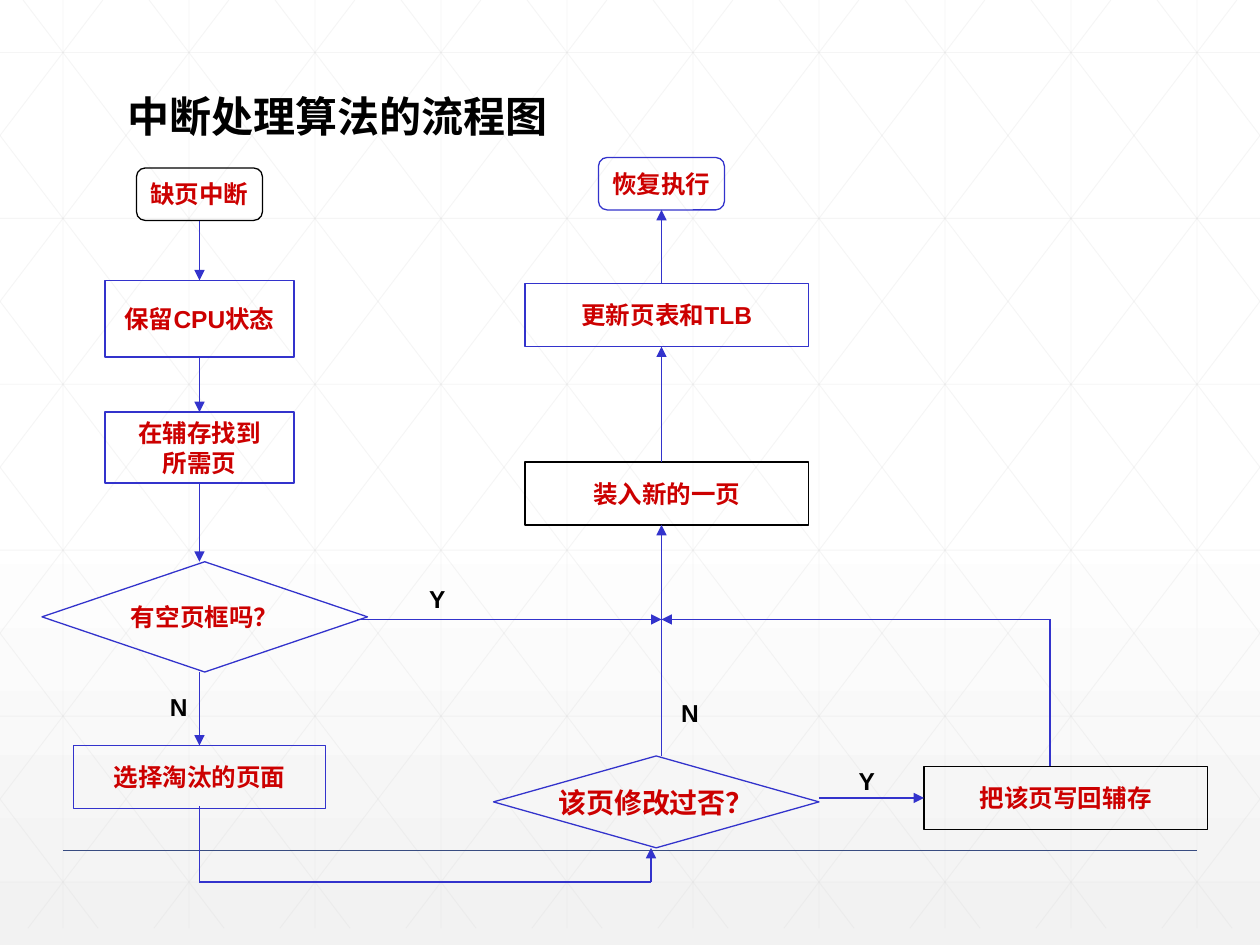
from lxml import etree
from pptx import Presentation
from pptx.dml.color import RGBColor
from pptx.enum.shapes import MSO_CONNECTOR, MSO_SHAPE
from pptx.enum.text import MSO_ANCHOR, PP_ALIGN
from pptx.oxml.ns import qn
from pptx.util import Inches, Pt

STRAIGHT = MSO_CONNECTOR.STRAIGHT
RECT, ROUND, DIAMOND = (MSO_SHAPE.RECTANGLE, MSO_SHAPE.ROUNDED_RECTANGLE,
                        MSO_SHAPE.DIAMOND)
TOP, LEFT, BOTTOM = 0, 1, 2

# The layout grid has 120 columns and 90 rows of 1/12 inch
COLS, ROWS = 120, 90
WIDTH, HEIGHT = Inches(10), Inches(7.5)
MAIN_COL, RETURN_COL = 19, 63  # columns of the two vertical flows
MERGE_ROW, LOOP_ROW = 59, 84

FONT = "Arial"
BLACK, RED, BLUE = "000000", "CC0000", "3333CC"
PALE, NAVY = "D9D9D9", "384C81"


def color(hex_string):
    return RGBColor.from_string(hex_string)


def x(col):
    return round(WIDTH * col / COLS)


def y(row):
    return round(HEIGHT * row / ROWS)


def write(frame, lines, size, ink, align=None):
    for i, line in enumerate(lines):
        paragraph = frame.paragraphs[0] if i == 0 else frame.add_paragraph()
        paragraph.alignment = align
        run = paragraph.add_run()
        run.text = line
        run.font.name, run.font.size, run.font.bold = FONT, Pt(size), True
        run.font.color.rgb = color(ink)


def add_label(slide, text, place, size=14, wrap=False):
    col, row, cols, rows = place
    label = slide.shapes.add_textbox(x(col), y(row), x(cols), y(rows))
    label.text_frame.word_wrap = wrap
    write(label.text_frame, [text], size, BLACK)


def add_step(slide, kind, place, lines, outline=BLUE, size=14):
    col, row, cols, rows = place
    step = slide.shapes.add_shape(kind, x(col), y(row), x(cols), y(rows))
    step.shadow.inherit = False
    step.fill.background()
    step.line.color.rgb = color(outline)
    step.line.width = Pt(0.75)
    step.text_frame.word_wrap = False
    step.text_frame.vertical_anchor = MSO_ANCHOR.MIDDLE
    write(step.text_frame, lines, size, RED, PP_ALIGN.CENTER)
    return step


def add_line(slide, start, end, ink=BLUE, width=0.75, opacity=None):
    line = slide.shapes.add_connector(STRAIGHT, x(start[0]), y(start[1]),
                                      x(end[0]), y(end[1]))
    line.line.color.rgb = color(ink)
    line.line.width = Pt(width)
    etree.SubElement(line._element.spPr, qn("a:effectLst"))
    if opacity:
        rgb = line._element.spPr.find(".//" + qn("a:srgbClr"))
        etree.SubElement(rgb, qn("a:alpha"), val=str(opacity * 1000))
    return line


def add_arrow(slide, start, end, source=None, target=None):
    """source and target are (step, side) pairs to join the ends to."""
    arrow = add_line(slide, start, end)
    etree.SubElement(arrow.line._get_or_add_ln(), qn("a:tailEnd"),
                     type="triangle")
    if source:
        arrow.begin_connect(*source)
    if target:
        arrow.end_connect(*target)


def add_background(slide):
    fill = slide.background.fill
    fill.gradient()
    fill.gradient_angle = 270
    for stop, position, tone in zip(fill.gradient_stops, (0.53, 1),
                                    ("FFFFFF", "F2F2F2")):
        stop.position = position
        stop.color.rgb = color(tone)

    # Triangular lattice: one inch between verticals
    pitch, bottom = 12, 88.4
    slope = 15.8 / pitch
    lattice = [((c, 0), (c, bottom)) for c in range(6, COLS, pitch)]
    lattice += [((0, 5 + 15.8 * i), (COLS, 5 + 15.8 * i)) for i in range(6)]
    for i in range(-5, 10):
        origin = 2.2 + pitch * i
        first = max(0, origin)
        last = min(COLS, origin + bottom / slope)
        rows = (first - origin) * slope, (last - origin) * slope
        lattice.append(((first, rows[0]), (last, rows[1])))
        lattice.append(((COLS - first, rows[0]), (COLS - last, rows[1])))
    for start, end in lattice:
        add_line(slide, start, end, PALE, 0.5, opacity=25)
    add_line(slide, (6, 81), (114, 81), NAVY, 1)


def add_main_flow(slide):
    interrupt = add_step(slide, ROUND, (13, 16, 12, 5), ["缺页中断"], BLACK)
    save = add_step(slide, RECT, (10, 26.7, 18, 7.3), ["保留CPU状态"])
    find = add_step(slide, RECT, (10, 39.25, 18, 6.75),
                    ["在辅存找到", "所需页"])
    add_step(slide, DIAMOND, (4, 53.5, 31, 10.5), ["有空页框吗？"])
    choose = add_step(slide, RECT, (7, 71, 24, 6), ["选择淘汰的页面"])

    add_arrow(slide, (MAIN_COL, 21), (MAIN_COL, 26.7),
              (interrupt, BOTTOM), (save, TOP))
    add_arrow(slide, (MAIN_COL, 34), (MAIN_COL, 39.25),
              (save, BOTTOM), (find, TOP))
    add_arrow(slide, (MAIN_COL, 46), (MAIN_COL, 53.5), (find, BOTTOM))
    add_arrow(slide, (MAIN_COL, 64), (MAIN_COL, 71), target=(choose, TOP))
    add_label(slide, "N", (15, 65.3, 4.4, 4))

    # From the chosen page round to the second question
    add_line(slide, (MAIN_COL, 76.8), (MAIN_COL, LOOP_ROW))
    add_line(slide, (MAIN_COL, LOOP_ROW), (62, LOOP_ROW))
    add_arrow(slide, (62, LOOP_ROW), (62, 80.75))


def add_return_flow(slide):
    resume = add_step(slide, ROUND, (57, 15, 12, 5), ["恢复执行"])
    add_step(slide, RECT, (50, 27, 27, 6), ["更新页表和TLB"])
    add_step(slide, RECT, (50, 44, 27, 6), ["装入新的一页"], BLACK)
    add_step(slide, DIAMOND, (47, 72, 31, 8.75), ["该页修改过否？"], size=16)
    write_back = add_step(slide, RECT, (88, 73, 27, 6),
                          ["把该页写回辅存"], BLACK)

    add_arrow(slide, (RETURN_COL, 27), (RETURN_COL, 20),
              target=(resume, BOTTOM))
    add_arrow(slide, (RETURN_COL, 44), (RETURN_COL, 33))
    add_arrow(slide, (RETURN_COL, 60), (RETURN_COL, 50))
    add_line(slide, (RETURN_COL, 72), (RETURN_COL, MERGE_ROW))
    add_label(slide, "N", (63.7, 65.9, 4.4, 4))

    # Free frame found, or modified page written back first
    add_arrow(slide, (34, MERGE_ROW), (RETURN_COL, MERGE_ROW))
    add_label(slide, "Y", (39.7, 55, 4, 4))
    add_arrow(slide, (78, 76), (88, 76), target=(write_back, LEFT))
    add_label(slide, "Y", (80.6, 72.4, 4, 4))
    add_line(slide, (100, 73), (100, MERGE_ROW))
    add_arrow(slide, (100, MERGE_ROW), (RETURN_COL, MERGE_ROW))


def main():
    deck = Presentation()
    deck.slide_width, deck.slide_height = WIDTH, HEIGHT
    slide = deck.slides.add_slide(deck.slide_layouts[6])
    add_background(slide)
    add_label(slide, "中断处理算法的流程图", (11, 8, 85, 6), 24, wrap=True)
    add_main_flow(slide)
    add_return_flow(slide)
    deck.save("out.pptx")


if __name__ == "__main__":
    main()
